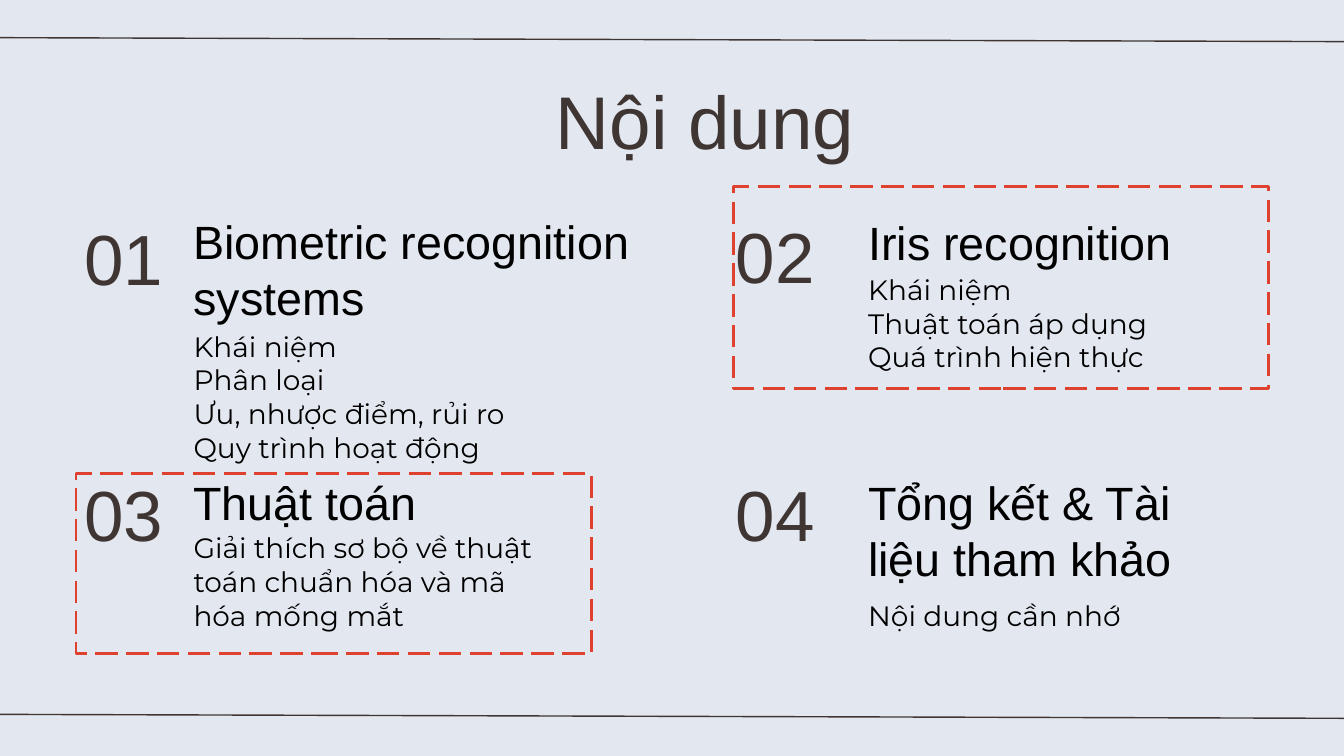
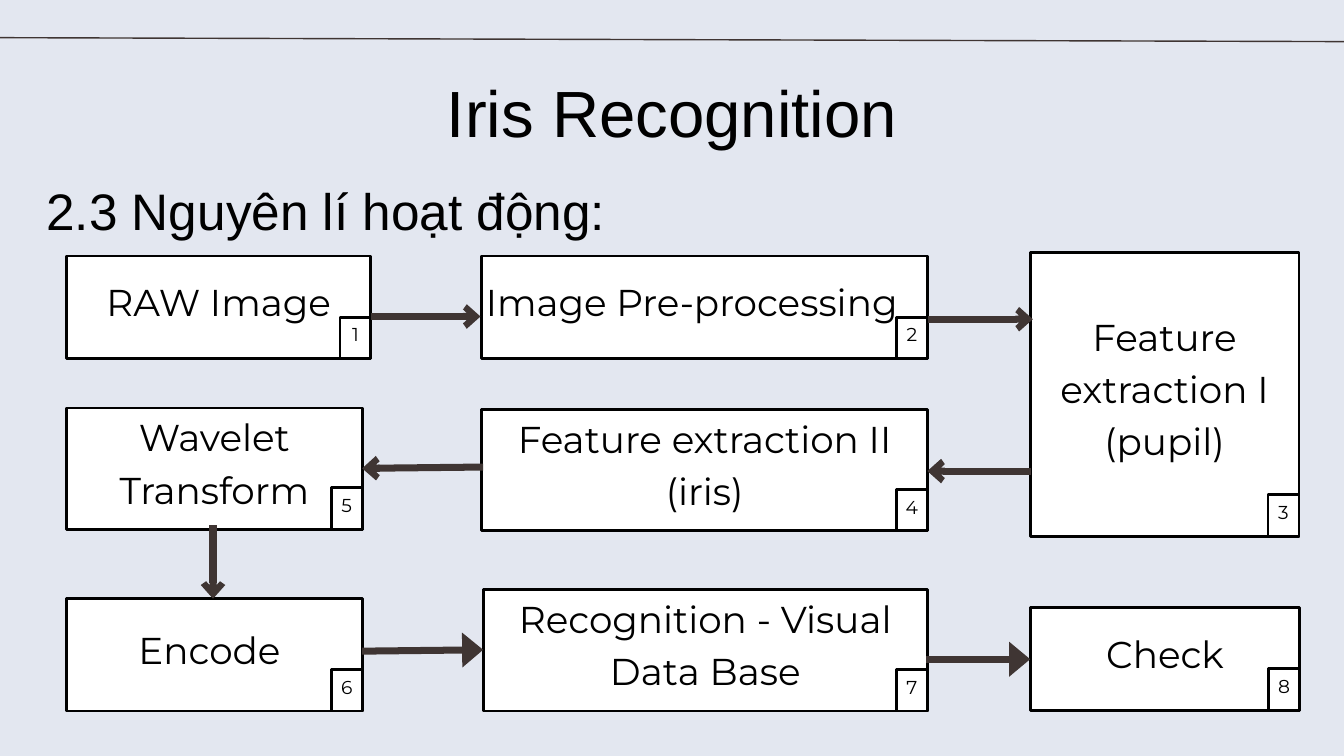
from dataclasses import dataclass
from typing import NamedTuple

from lxml import etree
from pptx import Presentation
from pptx import util as u
from pptx.dml import color as col
from pptx.enum import dml, shapes, text
from pptx.oxml import ns


class Type(NamedTuple):
    font: str
    size: int
    lead: float
    ink: str


@dataclass(frozen=True)
class Theme:
    back: str = "E3E7F0"
    ink: str = "3F3533"
    black: str = "000000"
    white: str = "FFFFFF"
    red: str = "DE412E"
    rule: float = 1.5
    edge: float = 3
    arrow: float = 7.5
    head: Type = Type("Arial", 80, 96, "3F3533")
    num: Type = Type("Arial", 76, 91.2, "3F3533")
    topic: Type = Type("Arial", 50, 60, "000000")
    body: Type = Type("Montserrat", 30, 36, "000000")
    name: Type = Type("Arial", 70, 84, "000000")
    sub: Type = Type("Arial", 55, 66, "000000")
    step: Type = Type("Montserrat", 40, 56, "000000")
    tag: Type = Type("Montserrat", 20, 28, "000000")


THEME = Theme()
LEFT, MID = text.PP_ALIGN.LEFT, text.PP_ALIGN.CENTER


class Area(NamedTuple):
    x: float
    y: float
    w: float
    h: float


class Topic(NamedTuple):
    num: str
    num_at: Area
    title: str
    title_at: Area
    lines: tuple[str, ...]
    body_at: Area


class Step(NamedTuple):
    label: str
    area: Area
    align: text.PP_ALIGN = MID


class Link(NamedTuple):
    x1: float
    y1: float
    x2: float
    y2: float
    solid: bool = False


COLS = ((0.81, 2.88), (10.5, 12.92))
NUM_W, NUM_H, TEXT_W = 2.07, 1.27, 5.24
TAG_W, TAG_H = 0.46, 0.62
STEP_RISE, TAG_RISE = 0.28, 0.16

TOPICS = (
    Topic("01", Area(COLS[0][0], 3.19, NUM_W, NUM_H),
          "Biometric recognition systems", Area(COLS[0][1], 3.17, 7.47, 1.64),
          ("Khái niệm", "Phân loại", "Ưu, nhược điểm, rủi ro", "Quy trình hoạt động"),
          Area(COLS[0][1], 4.9, 6.49, 1.96)),
    Topic("02", Area(COLS[1][0], 3.16, NUM_W, NUM_H),
          "Iris recognition", Area(COLS[1][1], 3.18, TEXT_W, 0.81),
          ("Khái niệm", "Thuật toán áp dụng", "Quá trình hiện thực"),
          Area(COLS[1][1], 4.06, TEXT_W, 1.47)),
    Topic("03", Area(COLS[0][0], 7.01, NUM_W, NUM_H),
          "Thuật toán", Area(COLS[0][1], 7.05, TEXT_W, 0.81),
          ("Giải thích sơ bộ về thuật toán chuẩn hóa và mã hóa mống mắt",),
          Area(COLS[0][1], 7.9, TEXT_W, 1.5)),
    Topic("04", Area(COLS[1][0], 7.01, NUM_W, NUM_H),
          "Tổng kết & Tài liệu tham khảo", Area(COLS[1][1], 7.05, TEXT_W, 1.64),
          ("Nội dung cần nhớ",),
          Area(COLS[1][1], 8.9, TEXT_W, 0.5)),
)
FRAMES = (Area(10.92, 2.77, 7.96, 3.01), Area(1.13, 7.04, 7.67, 2.69))

STEPS = (
    Step("RAW Image", Area(0.99, 3.81, 4.53, 1.53)),
    Step("Image Pre-processing", Area(7.17, 3.81, 6.63, 1.53), LEFT),
    Step("Feature extraction I (pupil)", Area(15.33, 3.76, 4, 4.22)),
    Step("Feature extraction II (iris)", Area(7.17, 6.09, 6.63, 1.81)),
    Step("Wavelet Transform", Area(0.99, 6.07, 4.4, 1.81)),
    Step("Encode ", Area(0.99, 8.91, 4.4, 1.67)),
    Step("Recognition - Visual Data Base", Area(7.19, 8.77, 6.61, 1.81)),
    Step("Check", Area(15.33, 9.04, 4.01, 1.53)),
)
LINKS = (
    Link(5.52, 4.71, 7.15, 4.71),
    Link(13.81, 4.75, 15.37, 4.75),
    Link(15.34, 7.01, 13.8, 7.01),
    Link(7.19, 6.95, 5.39, 6.97),
    Link(3.17, 7.82, 3.17, 8.91),
    Link(5.39, 9.69, 7.19, 9.67, True),
    Link(13.78, 9.81, 15.33, 9.81, True),
)


def place(area: Area) -> list[u.Length]:
    return [u.Inches(v) for v in area]


def apply(item, values: dict) -> None:
    for key, val in values.items():
        setattr(item, key, val)


def rgb(code: str) -> col.RGBColor:
    return col.RGBColor.from_string(code)


def write(slide, area: Area, lines: tuple[str, ...], kind: Type,
          align=LEFT, inset: float = 0, boxed: bool = False) -> None:
    frame = slide.shapes.add_textbox(*place(area)).text_frame
    gap = u.Inches(inset)
    apply(frame, {
        "word_wrap": True,
        "auto_size": text.MSO_AUTO_SIZE.NONE if boxed else text.MSO_AUTO_SIZE.SHAPE_TO_FIT_TEXT,
        "vertical_anchor": text.MSO_ANCHOR.MIDDLE if boxed else text.MSO_ANCHOR.TOP,
        "margin_left": gap, "margin_right": gap,
        "margin_top": gap, "margin_bottom": gap,
    })
    for i, line in enumerate(lines):
        para = frame.add_paragraph() if i else frame.paragraphs[0]
        apply(para, {"alignment": align, "line_spacing": u.Pt(kind.lead)})
        run = para.add_run()
        run.text = line
        apply(run.font, {"name": kind.font, "size": u.Pt(kind.size)})
        run.font.color.rgb = rgb(kind.ink)


def draw_box(slide, area: Area, edge: str, fill: str = "", dash=None) -> None:
    box = slide.shapes.add_shape(shapes.MSO_SHAPE.RECTANGLE, *place(area))
    box.shadow.inherit = False
    if fill:
        box.fill.solid()
        box.fill.fore_color.rgb = rgb(fill)
    else:
        box.fill.background()
    box.line.color.rgb = rgb(edge)
    apply(box.line, {"width": u.Pt(THEME.edge), "dash_style": dash})


def draw_line(slide, link: Link, width: float, tip: dict | None = None) -> None:
    line = slide.shapes.add_connector(
        shapes.MSO_CONNECTOR.STRAIGHT, *[u.Inches(v) for v in link[:4]])
    line.line.color.rgb = rgb(THEME.ink)
    line.line.width = u.Pt(width)
    if tip:
        etree.SubElement(line.line._get_or_add_ln(), ns.qn("a:tailEnd"), tip)
    etree.SubElement(line._element.spPr, ns.qn("a:effectLst"))


def draw_label(slide, area: Area, label: str, kind: Type, rise: float, align=MID) -> None:
    draw_box(slide, area, THEME.black, THEME.white)
    lift = Area(area.x, area.y - rise, area.w, area.h + rise)
    write(slide, lift, (label,), kind, align, 0.06, True)


def draw_step(slide, num: int, step: Step) -> None:
    box = step.area
    draw_label(slide, box, step.label, THEME.step, STEP_RISE, step.align)
    tag = Area(box.x + box.w - TAG_W, box.y + box.h - TAG_H, TAG_W, TAG_H)
    draw_label(slide, tag, str(num), THEME.tag, TAG_RISE)


def draw_link(slide, link: Link) -> None:
    tip = ({"type": "triangle", "w": "lg", "len": "med"} if link.solid
           else {"type": "arrow", "w": "med", "len": "sm"})
    draw_line(slide, link, THEME.arrow, tip)


def add_slide(deck, rules: tuple[float, ...]):
    slide = deck.slides.add_slide(deck.slide_layouts[6])
    fill = slide.background.fill
    fill.solid()
    fill.fore_color.rgb = rgb(THEME.back)
    for y in rules:
        draw_line(slide, Link(-0.19, y, 20.19, y + 0.06), THEME.rule)
    return slide


def build_topics(deck) -> None:
    slide = add_slide(deck, (0.56, 10.63))
    write(slide, Area(4.96, 1.12, 11.07, 1.32), ("Nội dung",), THEME.head, MID)
    for area in FRAMES:
        draw_box(slide, area, THEME.red, dash=dml.MSO_LINE.LONG_DASH)
    for topic in TOPICS:
        write(slide, topic.num_at, (topic.num,), THEME.num, MID)
        write(slide, topic.title_at, (topic.title,), THEME.topic)
        write(slide, topic.body_at, topic.lines, THEME.body)


def build_flow(deck) -> None:
    slide = add_slide(deck, (0.56,))
    write(slide, Area(1.66, 1.07, 16.68, 1.16), ("Iris Recognition",), THEME.name, MID)
    write(slide, Area(0.69, 2.67, 10.65, 0.9), ("2.3 Nguyên lí hoạt động:",), THEME.sub)
    for num, step in enumerate(STEPS, 1):
        draw_step(slide, num, step)
    for link in LINKS:
        draw_link(slide, link)


def main() -> None:
    deck = Presentation()
    apply(deck, {"slide_width": u.Inches(20), "slide_height": u.Inches(11.25)})
    build_topics(deck)
    build_flow(deck)
    deck.save("out.pptx")


if __name__ == "__main__":
    main()
